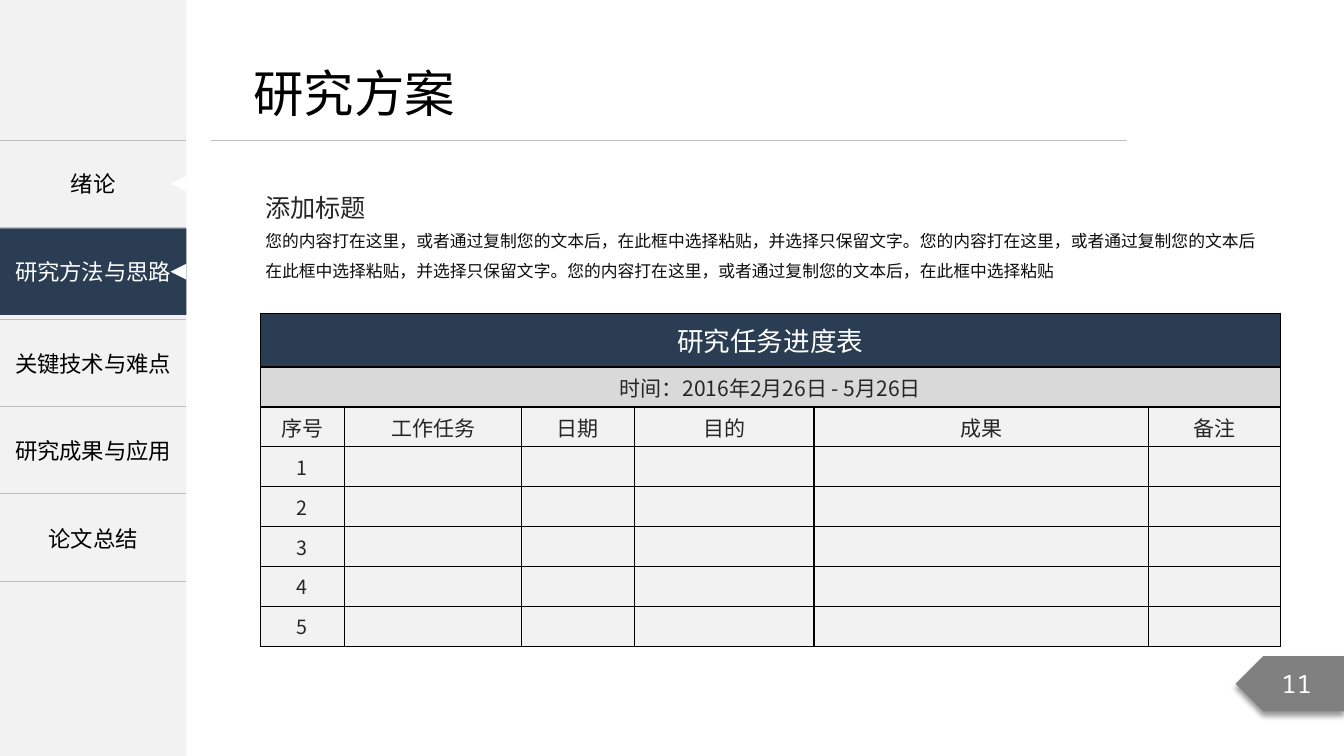
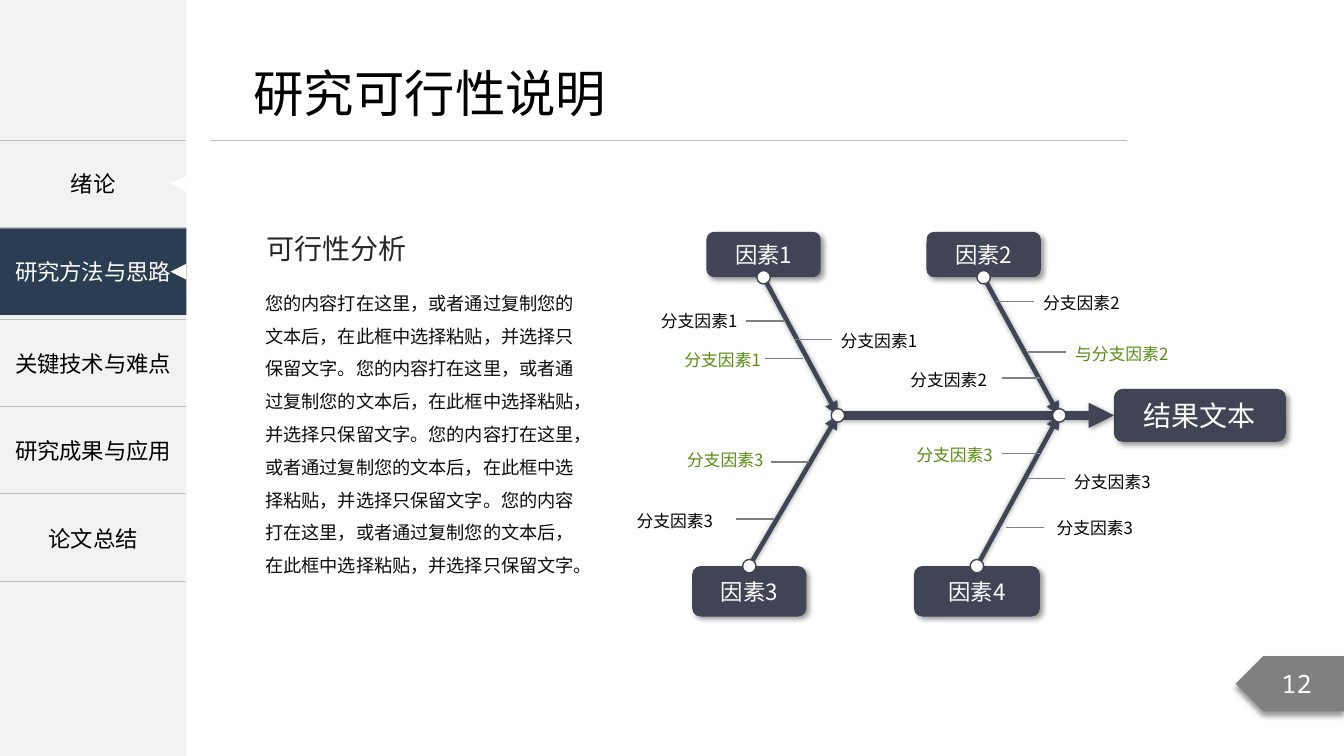
from dataclasses import dataclass
from typing import NamedTuple

from lxml import etree
from pptx import Presentation
from pptx.dml.color import RGBColor
from pptx.enum.shapes import MSO_CONNECTOR, MSO_SHAPE
from pptx.enum.text import MSO_ANCHOR, PP_ALIGN
from pptx.oxml.ns import qn
from pptx.util import Inches, Pt

# Slide grid: 160 columns by 90 rows
WIDTH, HEIGHT = Inches(13.333), Inches(7.5)
COLS, ROWS = 160, 90

# Palette
WHITE = RGBColor(0xFF, 0xFF, 0xFF)
BLACK = RGBColor(0x00, 0x00, 0x00)
PALE = RGBColor(0xF2, 0xF2, 0xF2)
SILVER = RGBColor(0xD9, 0xD9, 0xD9)
RULE_GRAY = RGBColor(0xBF, 0xBF, 0xBF)
GRAY = RGBColor(0x80, 0x80, 0x80)
NAVY = RGBColor(0x2A, 0x3D, 0x52)
SLATE = RGBColor(0x41, 0x44, 0x55)
GREEN = RGBColor(0x56, 0x8D, 0x11)
HEADING = RGBColor(0x26, 0x26, 0x26)
INK = RGBColor(0x0D, 0x0D, 0x0D)

SANS, MONO = "Noto Sans CJK SC", "Noto Sans Mono"
LEFT, CENTER = PP_ALIGN.LEFT, PP_ALIGN.CENTER
TOP, MIDDLE = MSO_ANCHOR.TOP, MSO_ANCHOR.MIDDLE
RECT, ROUNDED = MSO_SHAPE.RECTANGLE, MSO_SHAPE.ROUNDED_RECTANGLE
OVAL, TRIANGLE, PENTAGON = MSO_SHAPE.OVAL, MSO_SHAPE.ISOSCELES_TRIANGLE, MSO_SHAPE.PENTAGON
STRAIGHT = MSO_CONNECTOR.STRAIGHT
SIDE_TOP, SIDE_LEFT, SIDE_BOTTOM = 0, 1, 2
PLAIN_TABLE = "{2D5ABB26-0587-4C30-8999-92F81FD0307C}"

# Sidebar
SIDE_W, RULE_Y = 22.2, 16.7
NAV_ITEMS = ("", "", "关键技术与难点", "研究成果与应用", "论文总结")
NAV_ROWS = (10.4, 10.9, 10.4, 10.4, 10.4)
NAV_H, ACTIVE_Y, NOTCH = 10.3, 27.2, 1.9

# Schedule table
SCHEDULE_COLS = (10, 21.1, 13.4, 21.4, 39.8, 15.7)
SCHEDULE_ROWS = (6.4,) + (4.75,) * 7
SCHEDULE_HEAD = ("序号", "工作任务", "日期", "目的", "成果", "备注")

# Fishbone
SPINE_Y, JOINTS = 49.45, (99.75, 126.1)
RING, TWIG = 1.6, 4.5

SENTENCE = "您的内容打在这里，或者通过复制您的文本后，在此框中选择粘贴，并选择只保留文字。"


class Box(NamedTuple):
    x: float
    y: float
    w: float
    h: float

    def emu(self) -> tuple:
        return col(self.x), row(self.y), col(self.w), row(self.h)


class Style(NamedTuple):
    size: float
    color: RGBColor = BLACK
    font: str = SANS
    align: PP_ALIGN = LEFT
    anchor: MSO_ANCHOR = TOP
    spacing: float = 1.0


class Shadow(NamedTuple):
    distance: float
    angle: int


@dataclass(frozen=True)
class Factor:
    text: str
    box: Box
    side: int
    joint: float


@dataclass(frozen=True)
class Twig:
    text: str
    x: float
    y: float
    line_x: float
    line_y: float
    color: RGBColor = BLACK


FACTORS = (
    Factor("因素1", Box(84.1, 27.6, 13.6, 5.4), SIDE_BOTTOM, JOINTS[0]),
    Factor("因素2", Box(110.3, 27.6, 13.6, 5.4), SIDE_BOTTOM, JOINTS[1]),
    Factor("因素3", Box(82.4, 67.4, 13.6, 6), SIDE_TOP, JOINTS[0]),
    Factor("因素4", Box(108.8, 67.4, 15, 6), SIDE_TOP, JOINTS[1]),
)
TWIGS = (
    Twig("分支因素1", 77.5, 36.4, 88.8, 38.2),
    Twig("分支因素1", 80.3, 41, 91.1, 42.7, GREEN),
    Twig("分支因素1", 98.9, 38.8, 94.6, 40.4),
    Twig("分支因素2", 123, 34.3, 118.6, 35.9),
    Twig("与分支因素2", 126.8, 40.3, 122.4, 41.9, GREEN),
    Twig("分支因素2", 107.2, 43.4, 119.3, 45),
    Twig("分支因素3", 80.6, 53, 91.8, 55, GREEN),
    Twig("分支因素3", 74.6, 60.2, 87.6, 61.8),
    Twig("分支因素3", 107.9, 52.3, 119.3, 54, GREEN),
    Twig("分支因素3", 126.7, 55.6, 122.3, 57),
    Twig("分支因素3", 124.6, 61.1, 119.8, 62.8),
)


def col(n: float) -> int:
    return round(WIDTH * n / COLS)


def row(n: float) -> int:
    return round(HEIGHT * n / ROWS)


def write(frame, text: str, style: Style) -> None:
    paragraph = frame.paragraphs[0]
    paragraph.alignment = style.align
    paragraph.line_spacing = style.spacing
    run = paragraph.add_run()
    run.text = text
    for name, value in {"size": Pt(style.size), "name": style.font}.items():
        setattr(run.font, name, value)
    run.font.color.rgb = style.color
    east_asian = etree.SubElement(run.font._element, qn("a:ea"))
    east_asian.set("typeface", style.font)


def add_text(slide, box: Box, text: str, style: Style) -> None:
    frame = slide.shapes.add_textbox(*box.emu()).text_frame
    for name, value in {"word_wrap": True, "vertical_anchor": style.anchor}.items():
        setattr(frame, name, value)
    write(frame, text, style)


def cast_shadow(effects, shadow: Shadow) -> None:
    outer = etree.SubElement(effects, qn("a:outerShdw"))
    values = {"blurRad": Pt(4), "dist": Pt(shadow.distance), "dir": shadow.angle * 60000,
              "algn": "ctr", "rotWithShape": 0}
    for name, value in values.items():
        outer.set(name, str(int(value)) if name != "algn" else value)
    tint = etree.SubElement(outer, qn("a:srgbClr"), val=str(BLACK))
    etree.SubElement(tint, qn("a:alpha"), val="40000")


def add_shape(slide, kind, box: Box, fill: RGBColor, text: str = "",
              style: Style | None = None, line: RGBColor | None = None,
              shadow: Shadow | None = None):
    shape = slide.shapes.add_shape(kind, *box.emu())
    shape.fill.solid()
    shape.fill.fore_color.rgb = fill
    if line is None:
        shape.line.fill.background()
    else:
        shape.line.color.rgb = line
        shape.line.width = Pt(1)
    shape.shadow.inherit = False
    if shadow:
        cast_shadow(shape._element.spPr.find(qn("a:effectLst")), shadow)
    if style:
        shape.text_frame.vertical_anchor = style.anchor
        write(shape.text_frame, text, style)
    return shape


def add_line(slide, start: tuple, end: tuple, color: RGBColor, width: float,
             arrow: bool = False, shadow: Shadow | None = None):
    line = slide.shapes.add_connector(
        STRAIGHT, col(start[0]), row(start[1]), col(end[0]), row(end[1]))
    line.line.color.rgb = color
    line.line.width = Pt(width)
    properties = line._element.spPr
    if arrow:
        etree.SubElement(properties.find(qn("a:ln")), qn("a:tailEnd"), type="triangle")
    effects = etree.SubElement(properties, qn("a:effectLst"))
    if shadow:
        cast_shadow(effects, shadow)
    return line


def add_grid(slide, x: float, y: float, cols: tuple, rows: tuple):
    box = Box(x, y, sum(cols), sum(rows))
    table = slide.shapes.add_table(len(rows), len(cols), *box.emu()).table
    for name in ("first_row", "horz_banding"):
        setattr(table, name, False)
    table._tbl.tblPr.find(qn("a:tableStyleId")).text = PLAIN_TABLE
    for column, width in zip(table.columns, cols):
        column.width = col(width)
    for line, height in zip(table.rows, rows):
        line.height = row(height)
    return table


def format_cell(cell, sides: str, border: RGBColor, fill: RGBColor | None = None) -> None:
    cell.vertical_anchor = MIDDLE
    properties = cell._tc.get_or_add_tcPr()
    for side in sides:
        edge = etree.SubElement(properties, qn(f"a:ln{side}"), w=str(Pt(1)))
        paint = etree.SubElement(edge, qn("a:solidFill"))
        etree.SubElement(paint, qn("a:srgbClr"), val=str(border))
    if fill is None:
        cell.fill.background()
    else:
        cell.fill.solid()
        cell.fill.fore_color.rgb = fill


def add_frame(slide, title: str, number: int) -> None:
    """Sidebar navigation, title, rule and page tag."""
    nav = Style(16, align=CENTER, anchor=MIDDLE)
    add_shape(slide, RECT, Box(0, 0, SIDE_W, ROWS), PALE)
    add_line(slide, (25.1, RULE_Y), (134.2, RULE_Y), RULE_GRAY, 0.5)
    tag = add_shape(slide, PENTAGON, Box(147.1, 78.1, 12.9, 6.6), GRAY, str(number),
                    Style(18, WHITE, MONO, CENTER, MIDDLE), shadow=Shadow(3, 90))
    tag._element.spPr.xfrm.set("flipH", "1")

    menu = add_grid(slide, 0, RULE_Y, (SIDE_W,), NAV_ROWS)
    for index, item in enumerate(NAV_ITEMS):
        cell = menu.cell(index, 0)
        format_cell(cell, "TB", RULE_GRAY)
        if item:
            write(cell.text_frame, item, nav)
    add_text(slide, Box(0, RULE_Y, SIDE_W, NAV_H), "绪论", nav)
    add_shape(slide, RECT, Box(0, ACTIVE_Y, SIDE_W, NAV_H), NAVY, "研究方法与思路",
              nav._replace(color=WHITE))
    for top in (RULE_Y, ACTIVE_Y):
        notch = Box(SIDE_W - NOTCH, top + (NAV_H - NOTCH) / 2, NOTCH, NOTCH)
        add_shape(slide, TRIANGLE, notch, WHITE).rotation = 270

    # Each 36 pt character is six columns wide
    add_text(slide, Box(29, 6.8, len(title) * 6 + 2.6, 8.5), title, Style(36))


def build_schedule(slide) -> None:
    add_text(slide, Box(30.4, 20.5, 16, 6.7), "添加标题", Style(18, HEADING, spacing=1.5))
    body = (SENTENCE + "您的内容打在这里，或者通过复制您的文本后在此框中选择粘贴，并选择只保留文字。"
            "您的内容打在这里，或者通过复制您的文本后，在此框中选择粘贴")
    add_text(slide, Box(30.4, 25.7, 120.6, 8.5), body, Style(12, INK, spacing=1.5))

    table = add_grid(slide, 31, 37.3, SCHEDULE_COLS, SCHEDULE_ROWS)
    margins = {"margin_left": Inches(0.01), "margin_right": Inches(0.01),
               "margin_top": 0, "margin_bottom": 0}
    banners = (NAVY, SILVER)
    for r in range(len(SCHEDULE_ROWS)):
        for c in range(len(SCHEDULE_COLS)):
            cell = table.cell(r, c)
            for name, value in margins.items():
                setattr(cell, name, value)
            format_cell(cell, "LRTB", BLACK, banners[r] if r < len(banners) else PALE)
    for r in range(len(banners)):
        table.cell(r, 0).merge(table.cell(r, len(SCHEDULE_COLS) - 1))

    heading = Style(15, HEADING, align=CENTER)
    write(table.cell(0, 0).text_frame, "研究任务进度表", Style(19, WHITE, align=CENTER))
    write(table.cell(1, 0).text_frame, "时间：2016年2月26日 - 5月26日", heading)
    for c, label in enumerate(SCHEDULE_HEAD):
        write(table.cell(2, c).text_frame, label, heading)
    for number in range(1, 6):
        write(table.cell(number + 2, 0).text_frame, str(number), heading._replace(size=14))


def build_fishbone(slide) -> None:
    box_shadow, bone_shadow = Shadow(3, 45), Shadow(0, 45)
    caption = Style(16, WHITE, align=CENTER, anchor=MIDDLE)

    # Result and spine
    result = add_shape(slide, ROUNDED, Box(132.6, 46.3, 20.5, 6.3), SLATE, "结果文本",
                       caption._replace(size=20), shadow=box_shadow)
    spine = add_line(slide, (JOINTS[0], SPINE_Y), (132.6, SPINE_Y), SLATE, 6, True, Shadow(1, 45))
    spine.end_connect(result, SIDE_LEFT)

    # Factors and their bones
    rings = [(x, SPINE_Y) for x in JOINTS]
    for factor in FACTORS:
        box = factor.box
        root = (box.x + box.w / 2, box.y + (box.h if factor.side == SIDE_BOTTOM else 0))
        shape = add_shape(slide, ROUNDED, box, SLATE, factor.text, caption, shadow=box_shadow)
        bone = add_line(slide, root, (factor.joint, SPINE_Y), SLATE, 3.25, True, bone_shadow)
        bone.begin_connect(shape, factor.side)
        rings.append(root)

    # Twigs
    for twig in TWIGS:
        add_text(slide, Box(twig.x, twig.y, 16, 3.8), twig.text, Style(12, twig.color))
        add_line(slide, (twig.line_x, twig.line_y), (twig.line_x + TWIG, twig.line_y), GRAY, 1)
    for x, y in rings:
        add_shape(slide, OVAL, Box(x - RING / 2, y - RING / 2, RING, RING), WHITE, line=SLATE)

    # Analysis text
    add_text(slide, Box(30.5, 27, 20, 5.3), "可行性分析", Style(20, HEADING))
    add_text(slide, Box(30.4, 32.9, 40.7, 40.6), SENTENCE * 4, Style(13, INK, spacing=1.5))


def main() -> None:
    deck = Presentation()
    deck.slide_width, deck.slide_height = WIDTH, HEIGHT
    pages = (("研究方案", build_schedule), ("研究可行性说明", build_fishbone))
    for number, (title, build) in enumerate(pages, start=11):
        slide = deck.slides.add_slide(deck.slide_layouts[6])
        add_frame(slide, title, number)
        build(slide)
    deck.save("out.pptx")


if __name__ == "__main__":
    main()
